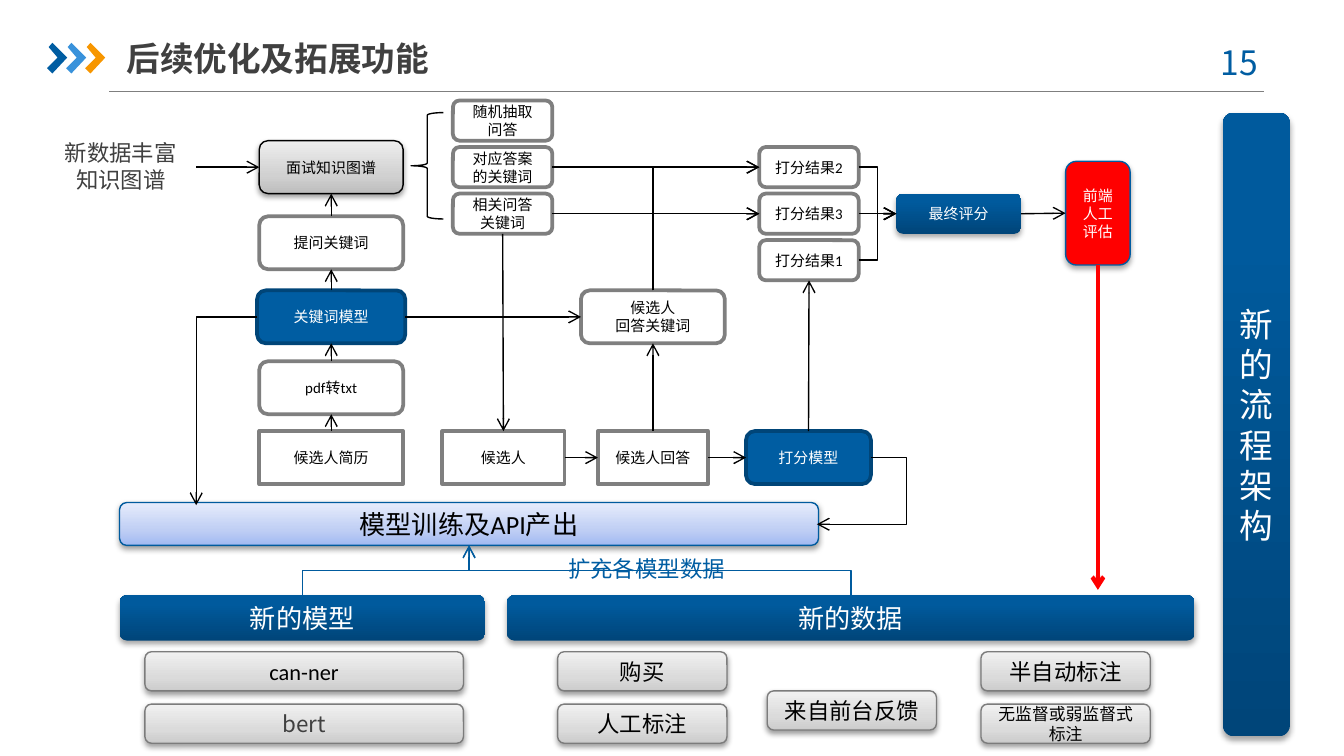
from dataclasses import dataclass
from itertools import pairwise

from lxml import etree
from pptx import Presentation
from pptx.dml.color import RGBColor
from pptx.enum.shapes import MSO_CONNECTOR, MSO_SHAPE
from pptx.enum.text import MSO_ANCHOR, MSO_AUTO_SIZE, PP_ALIGN
from pptx.oxml.ns import qn
from pptx.util import Cm, Pt

ROUNDED, RECTANGLE, BRACE = MSO_SHAPE.ROUNDED_RECTANGLE, MSO_SHAPE.RECTANGLE, MSO_SHAPE.LEFT_BRACE
STRAIGHT, ELBOW = MSO_CONNECTOR.STRAIGHT, MSO_CONNECTOR.ELBOW
LEFT, CENTER = PP_ALIGN.LEFT, PP_ALIGN.CENTER
TOP, MIDDLE = MSO_ANCHOR.TOP, MSO_ANCHOR.MIDDLE
LATIN, CHINESE = "Calibri", "Noto Sans CJK SC"

BLACK = RGBColor(0x00, 0x00, 0x00)
WHITE = RGBColor(0xFF, 0xFF, 0xFF)
DARK = RGBColor(0x40, 0x40, 0x40)
GREY = RGBColor(0x7F, 0x7F, 0x7F)
ITEM_LINE = RGBColor(0x7C, 0x7C, 0x7C)
BLUE = RGBColor(0x00, 0x5D, 0xA2)
BAR_BLUE = RGBColor(0x00, 0x5B, 0x9E)
NAVY = RGBColor(0x00, 0x45, 0x78)
SKY = RGBColor(0x39, 0x92, 0xDB)
ORANGE = RGBColor(0xF7, 0x96, 0x00)
RED = RGBColor(0xFF, 0x00, 0x00)
BLUE_STOPS = ((0, RGBColor(0x00, 0x45, 0x79)), (80, RGBColor(0x00, 0x5A, 0x9D)), (100, BAR_BLUE))
PALE_STOPS = ((0, RGBColor(0xA2, 0xBA, 0xF2)), (35, RGBColor(0xBF, 0xCE, 0xF4)), (100, RGBColor(0xE6, 0xEC, 0xFC)))
ITEM_STOPS = ((0, RGBColor(0xCC, 0xCC, 0xCC)), (35, RGBColor(0xDB, 0xDB, 0xDB)), (100, RGBColor(0xF1, 0xF1, 0xF1)))
GRAPH_STOPS = ((0, RGBColor(0xBD, 0xBD, 0xBD)), (35, RGBColor(0xD1, 0xD1, 0xD1)), (100, RGBColor(0xEE, 0xEE, 0xEE)))

PLAIN = dict(fill=WHITE, line=GREY, line_width=2)
MODEL = dict(fill=BLUE, line=NAVY, line_width=2, color=WHITE)
BAR = dict(fill=BLUE_STOPS, shadow=(35, 1.8), color=WHITE)
ITEM = dict(fill=ITEM_STOPS, line=ITEM_LINE, shadow=(38, 1.6), size=12)


@dataclass
class Box:
    """A rectangle in centimetres, with the middle points of its sides."""
    left: float
    top: float
    width: float
    height: float

    def inside(self, left, top, width, height):
        """Return a box placed relative to this one."""
        return Box(self.left + left, self.top + top, width, height)

    def point(self, across, down):
        """Return the point at the given fractions of width and height."""
        return self.left + across * self.width, self.top + down * self.height

    def lengths(self):
        """Return left, top, width and height as lengths."""
        return Cm(self.left), Cm(self.top), Cm(self.width), Cm(self.height)

    north = property(lambda self: self.point(0.5, 0))
    south = property(lambda self: self.point(0.5, 1))
    west = property(lambda self: self.point(0, 0.5))
    east = property(lambda self: self.point(1, 0.5))


def write(shape, text, size=8, font=LATIN, color=BLACK, bold=False, align=CENTER, anchor=MIDDLE):
    """Write the lines of text into a shape with one format."""
    frame = shape.text_frame
    frame.word_wrap = True
    frame.vertical_anchor = anchor
    for index, words in enumerate(text.split("\n")):
        paragraph = frame.add_paragraph() if index else frame.paragraphs[0]
        paragraph.alignment = align
        run = paragraph.add_run()
        run.text = words
        run.font.size, run.font.bold = Pt(size), bold
        run.font.color.rgb = color
        run.font.name = font
        etree.SubElement(run.font._element, qn("a:ea"), typeface=CHINESE)


def paint_gradient(shape, stops):
    """Fill a shape with a gradient running from bottom to top."""
    shape.fill.gradient()
    shape.fill.gradient_angle = 90
    stop_list = shape._element.spPr.find(qn("a:gradFill")).find(qn("a:gsLst"))
    stop_list.clear()
    for position, color in stops:
        stop = etree.SubElement(stop_list, qn("a:gs"), pos=str(position * 1000))
        etree.SubElement(stop, qn("a:srgbClr"), val=str(color))


def cast_shadow(shape, opacity, distance):
    """Add a soft shadow below a shape."""
    effects = shape._element.spPr.find(qn("a:effectLst"))
    shadow = etree.SubElement(effects, qn("a:outerShdw"), blurRad=str(Pt(3.1)), dist=str(Pt(distance)),
                              dir="5400000", rotWithShape="0")
    color = etree.SubElement(shadow, qn("a:srgbClr"), val=str(BLACK))
    etree.SubElement(color, qn("a:alpha"), val=str(opacity * 1000))


def add_node(slide, box, text="", kind=ROUNDED, fill=None, line=None, line_width=0.75, shadow=None, **text_format):
    """Draw a shape with its text and return its box."""
    shape = slide.shapes.add_shape(kind, *box.lengths())
    shape.shadow.inherit = False
    if isinstance(fill, tuple) and not isinstance(fill, RGBColor):
        paint_gradient(shape, fill)
    elif fill is not None:
        shape.fill.solid()
        shape.fill.fore_color.rgb = fill
    else:
        shape.fill.background()
    if line is None:
        shape.line.fill.background()
    else:
        shape.line.color.rgb = line
        shape.line.width = Pt(line_width)
    if shadow:
        cast_shadow(shape, *shadow)
    if text:
        write(shape, text, **text_format)
    return box


def add_label(slide, box, text, **text_format):
    """Add a free text box."""
    write(slide.shapes.add_textbox(*box.lengths()), text, font=CHINESE, anchor=TOP, **text_format)


def connect(slide, start, end, color=BLACK, width=0.75, bends=0, upward=False, bend_at=None, arrow=True):
    """Draw a line with no, one or two bends; an upward one leaves its start vertically."""
    if upward:
        middle_x, middle_y = (start[0] + end[0]) / 2, (start[1] + end[1]) / 2
        half_rise, half_run = (start[1] - end[1]) / 2, (end[0] - start[0]) / 2
        start = middle_x - half_rise, middle_y - half_run
        end = middle_x + half_rise, middle_y + half_run
    connector = slide.shapes.add_connector(ELBOW if bends else STRAIGHT, *map(Cm, start + end))
    connector.line.color.rgb = color
    connector.line.width = Pt(width)
    properties = connector._element.spPr
    geometry = properties.find(qn("a:prstGeom"))
    if bends:
        geometry.set("prst", f"bentConnector{bends + 1}")
    if upward:
        properties.find(qn("a:xfrm")).set("rot", "16200000")
    if bend_at is not None:
        adjustments = geometry.find(qn("a:avLst"))
        etree.SubElement(adjustments, qn("a:gd"), name="adj1", fmla=f"val {round(bend_at * 100000)}")
    if arrow:
        etree.SubElement(properties.find(qn("a:ln")), qn("a:tailEnd"), type="arrow")
    etree.SubElement(properties, qn("a:effectLst"))


def build_header(slide, box):
    """Place the chevrons, title, page number and rule."""
    connect(slide, box.point(0.05, 1), box.point(0.98, 1), color=GREY, arrow=False)
    outline = ((0.03, 0.08), (0.1, 0), (0.38, 0.28), (0.1, 0.58), (0, 0.48), (0.2, 0.28))
    for index, color in enumerate((BLUE, SKY, ORANGE)):
        left, top = box.left + index * 0.36, box.top + 0.25
        corners = [(Cm(left + x), Cm(top + y)) for x, y in outline]
        builder = slide.shapes.build_freeform(*corners[0])
        builder.add_line_segments(corners[1:])
        chevron = builder.convert_to_shape()
        chevron.shadow.inherit = False
        chevron.fill.solid()
        chevron.fill.fore_color.rgb = color
        chevron.line.fill.background()
    title = slide.shapes.title
    title.left, title.top, title.width, title.height = box.inside(1.5, 0, 14.96, 1.07).lengths()
    title.text_frame.auto_size = MSO_AUTO_SIZE.NONE
    title.text_frame.margin_left = title.text_frame.margin_right = 0
    write(title, "后续优化及拓展功能", size=18, font=CHINESE, color=DARK, bold=True, align=LEFT)
    add_label(slide, box.inside(21.61, 0.1, 1.85, 1.02), "15", size=18, color=BLUE)


def build_training(slide, box):
    """Place the training bar with the models and data that feed it."""
    training = add_node(slide, box.inside(0, 0, 13.21, 0.81), "模型训练及API产出", fill=PALE_STOPS,
                        line=BAR_BLUE, shadow=(38, 1.6), size=14)
    for text, left, width in (("新的模型", 0, 6.91), ("新的数据", 7.32, 13)):
        source = add_node(slide, box.inside(left, 1.75, width, 0.86), text, size=14, **BAR)
        connect(slide, source.north, training.south, color=BAR_BLUE, bends=2, upward=True)
    add_label(slide, box.inside(8.23, 0.86, 3.48, 0.76), "扩充各模型数据", size=12, color=BLUE, align=LEFT)
    columns = (
        (0.48, 2.82, 6.02, (("can-ner", {}), ("bert", dict(font=CHINESE, color=DARK)))),
        (8.28, 2.82, 3.2, (("购买", {}), ("人工标注", {}))),
        (12.24, 3.56, 3.2, (("来自前台反馈", {}),)),
        (16.28, 2.82, 3.2, (("半自动标注", {}), ("无监督或弱监督式标注", dict(size=9)))),
    )
    for left, top, width, items in columns:
        for row, (text, changes) in enumerate(items):
            add_node(slide, box.inside(left, top + row * 0.99, width, 0.74), text, **(ITEM | changes))


def build_flow(slide, box):
    """Place the interview flow from résumé to final assessment."""
    resume = add_node(slide, box.inside(4, 6.25, 2.72, 1), "候选人简历", RECTANGLE, **PLAIN)
    converted = add_node(slide, box.inside(4, 4.93, 2.72, 1), "pdf转txt", **PLAIN)
    keyword_model = add_node(slide, box.inside(3.96, 3.59, 2.8, 1), "关键词模型", **MODEL)
    keywords = add_node(slide, box.inside(4, 2.19, 2.72, 1), "提问关键词", **PLAIN)
    graph = add_node(slide, box.inside(4, 0.76, 2.72, 1), "面试知识图谱", fill=GRAPH_STOPS, line=BLACK, shadow=(38, 1.6))
    for lower, upper in pairwise((resume, converted, keyword_model, keywords, graph)):
        connect(slide, lower.north, upper.south)

    add_node(slide, box.inside(6.87, 0.23, 0.61, 2.01), kind=BRACE, line=BLACK)
    questions = [add_node(slide, box.inside(7.66, row * 0.88, 1.88, 0.76), text, **PLAIN)
                 for row, text in enumerate(("随机抽取问答", "对应答案的关键词", "相关问答关键词"))]
    results = [add_node(slide, box.inside(13.45, row * 0.88, 1.88, 0.76), text, **PLAIN)
               for row, text in enumerate(("打分结果2", "打分结果3", "打分结果1"), start=1)]

    candidate = add_node(slide, box.inside(7.46, 6.25, 2.31, 1), "候选人", RECTANGLE, **PLAIN)
    answer = add_node(slide, box.inside(10.4, 6.25, 2.08, 1), "候选人回答", RECTANGLE, **PLAIN)
    score_model = add_node(slide, box.inside(13.2, 6.25, 2.36, 1), "打分模型", **MODEL)
    answer_keywords = add_node(slide, box.inside(10.08, 3.59, 2.72, 1), "候选人\n回答关键词", **PLAIN)
    final = add_node(slide, box.inside(16.04, 1.76, 2.36, 0.76), "最终评分", **BAR)
    review = add_node(slide, box.inside(19.24, 1.15, 1.22, 1.96), "前端人工评估", fill=RED, line=BLUE,
                      shadow=(35, 1.8), color=WHITE)

    for start, end in ((candidate.east, answer.west), (answer.east, score_model.west),
                       (questions[2].south, candidate.north), (answer.north, answer_keywords.south),
                       (keyword_model.east, answer_keywords.west), (score_model.north, results[2].south),
                       (final.east, review.west)):
        connect(slide, start, end)
    for question, result in zip(questions[1:], results):
        connect(slide, question.east, result.west)
        connect(slide, answer_keywords.north, result.west, bends=1, upward=True)
    for result, bends in zip(results, (2, 0, 2)):
        connect(slide, result.east, final.west, bends=bends)

    add_label(slide, box.inside(0, 0.61, 2.77, 1.27), "新数据丰富知识图谱", size=12, color=DARK)
    connect(slide, (box.left + 2.81, graph.west[1]), graph.west)
    connect(slide, keyword_model.west, (box.left + 2.81, box.top + 7.65), bends=1)
    connect(slide, score_model.east, (box.left + 14.54, box.top + 8.01), bends=2, bend_at=-0.66)
    connect(slide, review.south, (review.south[0], box.top + 9.25), color=RED, width=2.25)


def main():
    """Build the slide and save the presentation."""
    presentation = Presentation()
    presentation.slide_width, presentation.slide_height = Cm(25.4), Cm(14.29)
    slide = presentation.slides.add_slide(presentation.slide_layouts[5])
    build_header(slide, Box(0.89, 0.56, 23.46, 1.17))
    build_training(slide, Box(2.26, 9.5, 20.32, 4.55))
    add_node(slide, Box(23.11, 2.13, 1.27, 11.79), "新的流程架构", size=18, **BAR)
    build_flow(slide, Box(0.9, 1.9, 20.46, 9.25))
    presentation.save("out.pptx")


if __name__ == "__main__":
    main()
